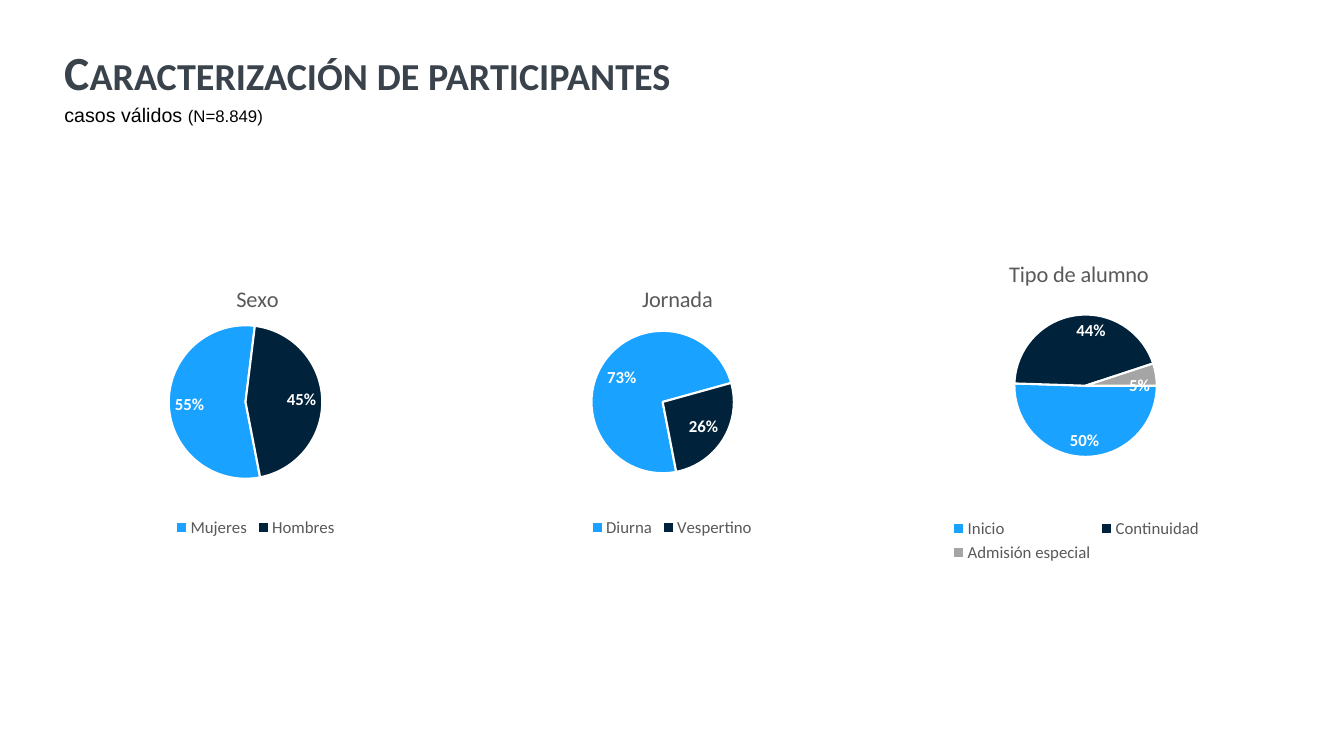
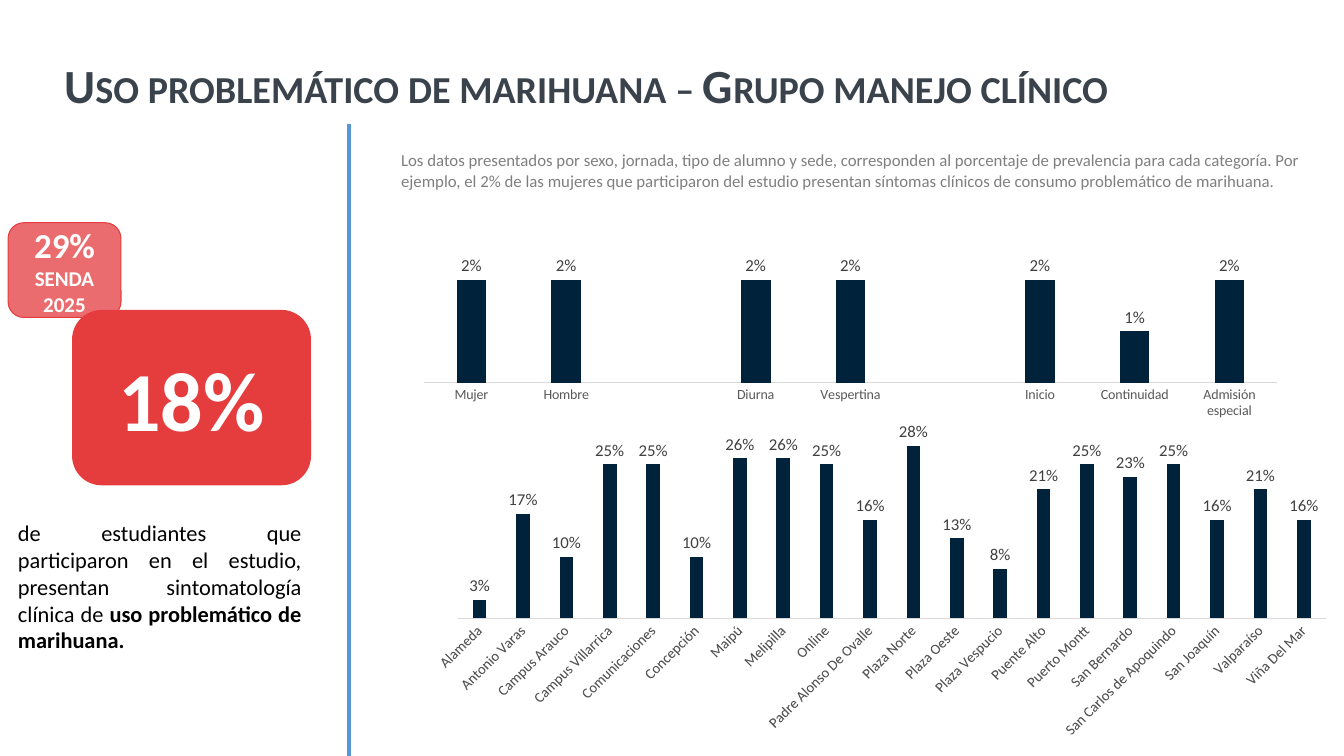
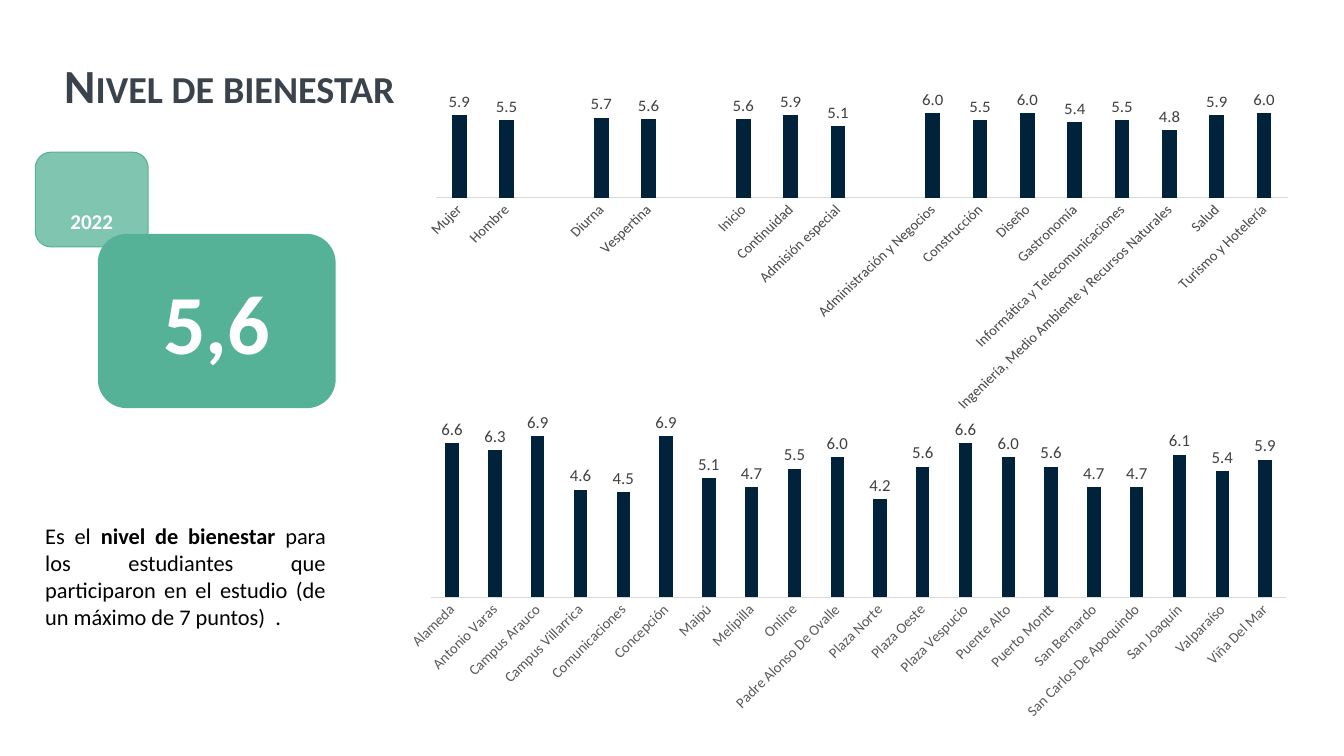
"""Build three slides on participants, marijuana use and well-being."""
from dataclasses import dataclass
from typing import Optional

from lxml import etree
from pptx import Presentation
from pptx import util as u
from pptx.chart import data
from pptx.dml import color
from pptx.enum import chart as ch
from pptx.enum import shapes, text
from pptx.oxml import ns


@dataclass(frozen=True)
class Theme:
    font: str = "Calibri"
    plain: str = "Arial"
    black: str = "000000"
    white: str = "FFFFFF"
    title: str = "3A434C"
    note: str = "7F7F7F"
    axis: str = "595959"
    label: str = "404040"
    rule: str = "D9D9D9"
    line: str = "5698D3"
    sky: str = "19A2FF"
    navy: str = "00223A"
    gray: str = "A5A5A5"
    red: str = "E53C3E"
    green: str = "55B296"
    head: float = 34
    huge: float = 60
    large: float = 25
    body: float = 16
    lead: float = 14
    year: float = 15
    small: float = 12
    slant: float = 10.5
    tiny: float = 10


T = Theme()


@dataclass(frozen=True)
class Box:
    left: float
    top: float
    width: float
    height: float

    def emu(self) -> tuple:
        return tuple(u.Inches(n) for n in (self.left, self.top, self.width, self.height))


@dataclass(frozen=True)
class Run:
    text: str
    bold: Optional[bool] = None
    size: Optional[float] = None


@dataclass(frozen=True)
class Para:
    runs: tuple
    size: float
    color: str = T.black
    font: str = T.font
    bold: bool = False
    align: text.PP_ALIGN = text.PP_ALIGN.LEFT


@dataclass(frozen=True)
class Pie:
    title: str
    box: Box
    cats: tuple
    vals: tuple
    start: int
    plot: tuple
    head: tuple


@dataclass(frozen=True)
class Bars:
    box: Box
    cats: list
    vals: list
    form: str
    top: float
    size: float = T.slant
    turn: int = -45


def rgb(code: str) -> color.RGBColor:
    return color.RGBColor.from_string(code)


def style(font, size: float, code: str, bold: bool = False, name: str = T.font) -> None:
    font.name, font.size, font.bold = name, u.Pt(size), bold
    font.color.rgb = rgb(code)


def write(frame, paras: list) -> None:
    frame.word_wrap = True
    for i, para in enumerate(paras):
        p = frame.paragraphs[0] if i == 0 else frame.add_paragraph()
        p.alignment = para.align
        style(p.font, para.size, para.color, para.bold, para.font)
        for item in para.runs:
            run = p.add_run()
            run.text = item.text
            if item.bold is not None:
                run.font.bold = item.bold
            if item.size:
                run.font.size = u.Pt(item.size)


def add_text(slide, box: Box, para: Para):
    frame = slide.shapes.add_textbox(*box.emu()).text_frame
    frame.auto_size = text.MSO_AUTO_SIZE.SHAPE_TO_FIT_TEXT
    write(frame, [para])
    return frame


def add_title(slide, words: str, base: float = 0.05) -> None:
    frame = add_text(slide, Box(0.54, 0.4, 12.73, 0.94),
                     Para((Run(words),), T.head, T.title, bold=True))
    frame.auto_size = text.MSO_AUTO_SIZE.NONE
    frame.vertical_anchor = text.MSO_ANCHOR.MIDDLE
    frame.margin_bottom = u.Inches(base)
    p = frame.paragraphs[0]
    p.line_spacing = 0.9
    p.font._element.set("cap", "small")


def add_card(slide, box: Box, fill: str, lines: list, alpha: int = 100,
             edge: bool = True, inset: float = 0.05) -> None:
    card = slide.shapes.add_shape(shapes.MSO_SHAPE.ROUNDED_RECTANGLE, *box.emu())
    card.shadow.inherit = False
    card.fill.solid()
    card.fill.fore_color.rgb = rgb(fill)
    if alpha < 100:
        tone = card.fill._xPr.find(".//" + ns.qn("a:srgbClr"))
        etree.SubElement(tone, ns.qn("a:alpha"), val=str(alpha * 1000))
    if edge:
        card.line.color.rgb = rgb(fill)
        card.line.width = u.Pt(0.75)
    else:
        card.line.fill.background()
    frame = card.text_frame
    frame.vertical_anchor = text.MSO_ANCHOR.MIDDLE
    frame.margin_top = u.Inches(inset)
    write(frame, [Para((Run(words),), size, T.white, bold=True, align=text.PP_ALIGN.CENTER)
                  for words, size in lines])


def add_rule(slide, x: float, top: float, end: float) -> None:
    rule = slide.shapes.add_connector(shapes.MSO_CONNECTOR.STRAIGHT, u.Inches(x),
                                      u.Inches(top), u.Inches(x), u.Inches(end))
    rule.line.color.rgb = rgb(T.line)
    rule.line.width = u.Pt(3)
    etree.SubElement(rule._element.spPr, ns.qn("a:effectLst"))


def add_chart(slide, kind, box: Box, cats, vals, form: str):
    feed = data.CategoryChartData(number_format=form)
    feed.categories = cats
    feed.add_series("Series 1", vals)
    chart = slide.shapes.add_chart(kind, *box.emu(), feed).chart
    style(chart.font, T.tiny, T.black, name=T.plain)
    return chart


def add_labels(series, form: str, place, code: str, bold: bool = False) -> None:
    labels = series.data_labels
    labels.show_value = True
    labels.number_format = form
    labels.number_format_is_linked = False
    labels.position = place
    style(labels.font, T.small, code, bold)


def set_layout(node, index: int, parts: dict) -> None:
    for old in node.findall(ns.qn("c:layout")):
        node.remove(old)
    layout = etree.Element(ns.qn("c:layout"))
    manual = etree.SubElement(layout, ns.qn("c:manualLayout"))
    for tag, val in parts.items():
        etree.SubElement(manual, ns.qn("c:" + tag), val=str(val))
    node.insert(index, layout)


def add_pie(slide, pie: Pie) -> None:
    chart = add_chart(slide, ch.XL_CHART_TYPE.PIE, pie.box, pie.cats, pie.vals, "0%")
    chart.has_title = True
    title = chart.chart_title
    title.text_frame.text = pie.title
    style(title.text_frame.paragraphs[0].font, T.body, T.axis)
    edge = {"xMode": "edge", "yMode": "edge"}
    set_layout(title._element, 1, {**edge, **dict(zip("xy", pie.head))})
    chart.has_legend = True
    chart.legend.position = ch.XL_LEGEND_POSITION.BOTTOM
    chart.legend.include_in_layout = False
    style(chart.legend.font, T.small, T.axis)
    plot = chart.plots[0]
    plot.vary_by_categories = True
    series = plot.series[0]
    for i, code in enumerate((T.sky, T.navy, T.gray)[:len(pie.vals)]):
        part = series.points[i].format
        part.fill.solid()
        part.fill.fore_color.rgb = rgb(code)
        part.line.color.rgb = rgb(T.white)
        part.line.width = u.Pt(1.5)
    add_labels(series, "0%", ch.XL_LABEL_POSITION.INSIDE_END, T.white, True)
    node = plot._element
    etree.SubElement(node, ns.qn("c:firstSliceAng"), val=str(pie.start))
    set_layout(node.getparent(), 0, {"layoutTarget": "inner", **edge,
                                     **dict(zip("xywh", pie.plot))})


def add_bars(slide, bars: Bars) -> None:
    chart = add_chart(slide, ch.XL_CHART_TYPE.COLUMN_CLUSTERED, bars.box,
                      bars.cats, bars.vals, bars.form)
    chart.has_legend = chart.has_title = False
    plot = chart.plots[0]
    plot.vary_by_categories = False
    plot.gap_width, plot.overlap = 219, -27
    series = plot.series[0]
    series.format.fill.solid()
    series.format.fill.fore_color.rgb = rgb(T.navy)
    add_labels(series, bars.form, ch.XL_LABEL_POSITION.OUTSIDE_END, T.label)
    axis = chart.category_axis
    axis.major_tick_mark = ch.XL_TICK_MARK.NONE
    axis.format.line.color.rgb = rgb(T.rule)
    axis.format.line.width = u.Pt(0.75)
    style(axis.tick_labels.font, bars.size, T.axis)
    axis._element.txPr.bodyPr.set("rot", str(bars.turn * 60000))
    scale = chart.value_axis
    scale.visible = scale.has_major_gridlines = False
    scale.minimum_scale, scale.maximum_scale = 0, bars.top
    scale.tick_labels.number_format = bars.form
    scale.tick_labels.number_format_is_linked = False


GROUPS = ["Mujer", "Hombre", "", "Diurna", "Vespertina", "",
          "Inicio", "Continuidad", "Admisión especial"]
AREAS = ["Administración y Negocios", "Construcción", "Diseño", "Gastronomía",
         "Informática y Telecomunicaciones",
         "Ingeniería, Medio Ambiente y Recursos Naturales", "Salud", "Turismo y Hotelería"]
SITES = ["Alameda", "Antonio Varas", "Campus Arauco", "Campus Villarrica", "Comunicaciones",
         "Concepción", "Maipú", "Melipilla", "Online", "Padre Alonso De Ovalle",
         "Plaza Norte", "Plaza Oeste", "Plaza Vespucio", "Puente Alto", "Puerto Montt",
         "San Bernardo", "San Carlos de Apoquindo", "San Joaquín", "Valparaíso",
         "Viña Del Mar"]
PLOT = (0.24, 0.22, 0.46, 0.57)
PIES = [
    Pie("Sexo", Box(0.88, 2.58, 3.31, 2.79), ("Mujeres", "Hombres"), (0.55, 0.45),
        169, PLOT, (0.43, 0.07)),
    Pie("Jornada", Box(5.13, 2.58, 3.07, 2.79), ("Diurna", "Vespertino"), (0.73, 0.26),
        169, PLOT, (0.39, 0.07)),
    Pie("Tipo de alumno", Box(9.14, 2.33, 3.07, 3.29),
        ("Inicio", "Continuidad", "Admisión especial"), (0.5, 0.44, 0.05),
        90, (0.3, 0.17, 0.46, 0.57), (0.27, 0.06)),
]


def show_people(slide) -> None:
    add_title(slide, "Caracterización de participantes", 0.29)
    for pie in PIES:
        add_pie(slide, pie)
    add_text(slide, Box(0.54, 0.97, 2.88, 0.34),
             Para((Run("casos válidos "), Run("(N=8.849)", size=T.small)),
                  T.lead, font=T.plain))


def show_use(slide) -> None:
    add_title(slide, "Uso problemático de marihuana – Grupo manejo clínico")
    add_text(slide, Box(3.88, 1.44, 9.26, 0.5), Para((Run(
        "Los datos presentados por sexo, jornada, tipo de alumno y sede, corresponden al "
        "porcentaje de prevalencia para cada categoría. Por ejemplo, el 2% de las mujeres "
        "que participaron del estudio presentan síntomas clínicos de consumo problemático "
        "de marihuana."),), T.small, T.note))
    add_bars(slide, Bars(Box(4.03, 2.23, 8.81, 1.96), GROUPS,
                         [0.02, 0.02, None, 0.02, 0.02, None, 0.02, 0.01, 0.02],
                         "0%", 0.03, T.tiny, 0))
    add_rule(slide, 3.46, 1.23, 7.5)
    add_card(slide, Box(0.72, 3.08, 2.36, 1.73), T.red, [("18%", T.huge)])
    add_text(slide, Box(0.08, 5.1, 3.01, 1.45), Para((
        Run("de estudiantes que participaron en el estudio, presentan sintomatología "
            "clínica de "),
        Run("uso problemático de marihuana.", True)), T.body, align=text.PP_ALIGN.JUSTIFY))
    add_card(slide, Box(0.08, 2.21, 1.12, 0.94), T.red,
             [("29%", T.large), ("SENDA 2025", T.year)], 75)
    add_bars(slide, Bars(Box(4.14, 4.19, 9.19, 3.2), SITES,
                         [0.03, 0.17, 0.1, 0.25, 0.25, 0.1, 0.26, 0.26, 0.25, 0.16,
                          0.28, 0.13, 0.08, 0.21, 0.25, 0.23, 0.25, 0.16, 0.21, 0.16],
                         "0%", 0.3))


def show_mood(slide) -> None:
    add_title(slide, "Nivel de bienestar")
    add_bars(slide, Bars(Box(3.87, 4.01, 9.07, 3.2),
                         [site.replace(" de ", " De ") for site in SITES],
                         [6.6, 6.3, 6.9, 4.6, 4.5, 6.9, 5.1, 4.7, 5.5, 6,
                          4.2, 5.6, 6.6, 6, 5.6, 4.7, 4.7, 6.1, 5.4, 5.9], "0.0", 8))
    add_bars(slide, Bars(Box(4.06, 0.9, 8.89, 3.19), GROUPS + [""] + AREAS,
                         [5.9, 5.5, None, 5.7, 5.6, None, 5.6, 5.9, 5.1, None,
                          6, 5.5, 6, 5.4, 5.5, 4.8, 5.9, 6], "0.0", 7))
    add_text(slide, Box(0.35, 5.13, 2.98, 1.18), Para((
        Run("Es el "), Run("nivel de bienestar", True),
        Run(" para los estudiantes que participaron en el estudio "
            "(de un máximo de 7 puntos)  .")), T.body, align=text.PP_ALIGN.JUSTIFY))
    add_card(slide, Box(0.35, 1.51, 1.12, 0.94), T.green, [("2022", T.year)], 75, inset=0.47)
    add_card(slide, Box(0.97, 2.32, 2.36, 1.73), T.green, [("5,6", T.huge)], edge=False)


def main() -> None:
    deck = Presentation()
    deck.slide_width, deck.slide_height = u.Inches(13.33), u.Inches(7.5)
    for show in (show_people, show_use, show_mood):
        show(deck.slides.add_slide(deck.slide_layouts[6]))
    deck.save("out.pptx")


if __name__ == "__main__":
    main()
